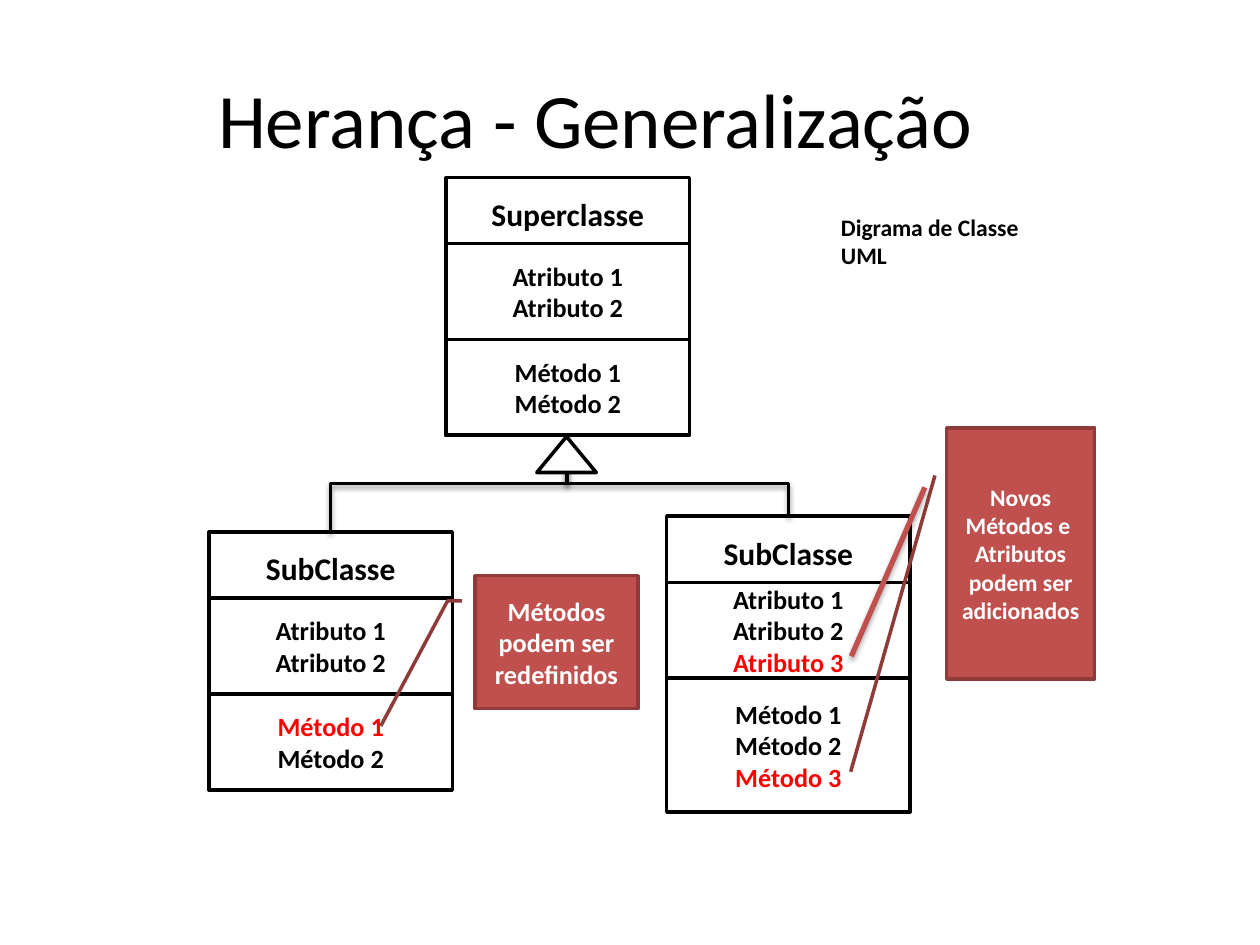
from dataclasses import dataclass

import pptx
import pptx.dml.color
import pptx.enum.shapes
import pptx.enum.text
import pptx.oxml
import pptx.util

Pt = pptx.util.Pt
SHAPE = pptx.enum.shapes.MSO_SHAPE
CONNECTOR = pptx.enum.shapes.MSO_CONNECTOR
ANCHOR = pptx.enum.text.MSO_ANCHOR
ALIGN = pptx.enum.text.PP_ALIGN
DRAWING_NS = "http://schemas.openxmlformats.org/drawingml/2006/main"


@dataclass(frozen=True)
class Theme:
    font: str = "Calibri"
    ink: str = "000000"
    paper: str = "FFFFFF"
    changed: str = "FF0000"
    accent: str = "C0504D"
    accent_edge: str = "8E3B39"
    title: float = 44
    class_name: float = 18
    body: float = 15
    note: float = 13.5
    line: float = 2


def rgb(value):
    return pptx.dml.color.RGBColor.from_string(value)


def apply(target, values):
    for name, value in values.items():
        setattr(target, name, value)


class ClassDiagram:
    WIDTH, HEIGHT = 139, 147.5
    NAME_HEIGHT, ROW_HEIGHT = 37.75, 54.75

    def __init__(self, slide, theme):
        self.slide = slide
        self.theme = theme

    def fill_text(self, shape, lines, size, color, align=ALIGN.CENTER, bold=True,
                  highlighted=(), **frame_format):
        frame = shape.text_frame
        apply(frame, {"word_wrap": True, "vertical_anchor": ANCHOR.MIDDLE,
                      **frame_format})
        for index, line in enumerate(lines):
            paragraph = frame.add_paragraph() if index else frame.paragraphs[0]
            paragraph.alignment = align
            run = paragraph.add_run()
            run.text = line
            apply(run.font, {"name": self.theme.font, "size": Pt(size), "bold": bold})
            run.font.color.rgb = rgb(
                self.theme.changed if line in highlighted else color)

    def text(self, box, lines, size, **text_format):
        label = self.slide.shapes.add_textbox(*map(Pt, box))
        self.fill_text(label, lines, size, self.theme.ink, ALIGN.LEFT, **text_format)

    def shape(self, kind, box, fill, edge):
        shape = self.slide.shapes.add_shape(kind, *map(Pt, box))
        shape.shadow.inherit = False
        shape.fill.solid()
        shape.fill.fore_color.rgb = rgb(fill)
        shape.line.color.rgb = rgb(edge)
        shape.line.width = Pt(self.theme.line)
        return shape

    def outlined(self, kind, box):
        return self.shape(kind, box, self.theme.paper, self.theme.ink)

    def uml_class(self, left, top, name, attributes, methods,
                  highlighted=(), methods_height=ROW_HEIGHT):
        outline = self.outlined(SHAPE.RECTANGLE, (left, top, self.WIDTH, self.HEIGHT))
        self.fill_text(outline, [name], self.theme.class_name, self.theme.ink,
                       vertical_anchor=ANCHOR.TOP, margin_top=Pt(10))
        row_top = top + self.NAME_HEIGHT
        for members, height in ((attributes, self.ROW_HEIGHT),
                                (methods, methods_height)):
            row = self.outlined(SHAPE.RECTANGLE, (left, row_top, self.WIDTH, height))
            self.fill_text(row, members, self.theme.body, self.theme.ink,
                           highlighted=highlighted)
            row_top += height

    def callout(self, kind, box, lines, size, adjustments):
        note = self.shape(kind, box, self.theme.accent, self.theme.accent_edge)
        for index, value in enumerate(adjustments):
            note.adjustments[index] = value
        self.fill_text(note, lines, size, self.theme.paper)

    def connector(self, kind, ends, color, width, opacity):
        link = self.slide.shapes.add_connector(kind, *map(Pt, ends))
        link.line.color.rgb = rgb(color)
        link.line.width = Pt(width)
        link._element.spPr.append(pptx.oxml.parse_xml(
            f'<a:effectLst xmlns:a="{DRAWING_NS}">'
            f'<a:outerShdw blurRad="{Pt(3.1)}" dist="{Pt(1.7)}" dir="5400000" '
            f'rotWithShape="0"><a:srgbClr val="{self.theme.ink}">'
            f'<a:alpha val="{opacity * 1000}"/></a:srgbClr></a:outerShdw>'
            '</a:effectLst>'))
        return link

    def inheritance(self, parent, child, trunk_y):
        """Elbow that leaves the parent downwards, turning at trunk_y."""
        (x1, y1), (x2, y2) = parent, child
        center_x, center_y = (x1 + x2) / 2, (y1 + y2) / 2
        drop, span = y2 - y1, abs(x2 - x1)
        # The preset runs sideways, so it is laid flat and then turned
        side = 1 if x2 > x1 else -1
        ends = (center_x + side * drop / 2, center_y - span / 2,
                center_x - side * drop / 2, center_y + span / 2)
        link = self.connector(CONNECTOR.ELBOW, ends, self.theme.ink,
                              self.theme.line, 38)
        properties = link._element.spPr
        properties.find(f"{{{DRAWING_NS}}}xfrm").set(
            "rot", str((270 if side > 0 else 90) * 60000))
        geometry = properties.find(f"{{{DRAWING_NS}}}prstGeom")
        for old in list(geometry):
            geometry.remove(old)
        turn = round((trunk_y - y1) / drop * 100000)
        geometry.append(pptx.oxml.parse_xml(
            f'<a:avLst xmlns:a="{DRAWING_NS}">'
            f'<a:gd name="adj1" fmla="val {turn}"/></a:avLst>'))


def main():
    theme = Theme()
    deck = pptx.Presentation()
    apply(deck, {"slide_width": Pt(720), "slide_height": Pt(540)})
    diagram = ClassDiagram(deck.slides.add_slide(deck.slide_layouts[6]), theme)

    # Title
    diagram.text((117.5, 33, 486, 68), ["Herança - Generalização"],
                 theme.title, bold=False)

    # Classes
    attributes = ["Atributo 1", "Atributo 2"]
    methods = ["Método 1", "Método 2"]
    diagram.uml_class(255, 101.5, "Superclasse", attributes, methods)
    diagram.uml_class(119.5, 304, "SubClasse", attributes, methods,
                      highlighted=["Método 1"])
    added = ["Atributo 3", "Método 3"]
    diagram.uml_class(381, 295, "SubClasse", attributes + added[:1],
                      methods + added[1:], added, methods_height=76.5)

    # Inheritance links and arrowhead
    for subclass_top in ((189, 304), (450.5, 295)):
        diagram.inheritance((324, 248.5), subclass_top, trunk_y=276.4)
    diagram.outlined(SHAPE.ISOSCELES_TRIANGLE, (306.75, 249.5, 34, 20.5))

    # Notes on redefined and added members
    diagram.callout(SHAPE.LINE_CALLOUT_2, (271.5, 329, 93, 76),
                    ["Métodos podem ser redefinidos"], theme.body,
                    (0.19, -0.08, 0.19, -0.17, 1.13, -0.58))
    diagram.callout(SHAPE.LINE_CALLOUT_1, (541, 244.5, 84.5, 143.5),
                    ["Novos Métodos e ", "Atributos", "podem ser adicionados"],
                    theme.note, (0.19, -0.08, 1.37, -0.65))
    diagram.connector(CONNECTOR.STRAIGHT, (486.5, 375, 528.5, 278.5),
                      theme.accent, 3, 35)

    # Diagram caption
    diagram.text((473.5, 118, 133, 40), ["Digrama de Classe", "UML"], theme.note,
                 vertical_anchor=ANCHOR.TOP)

    deck.save("out.pptx")


if __name__ == "__main__":
    main()
